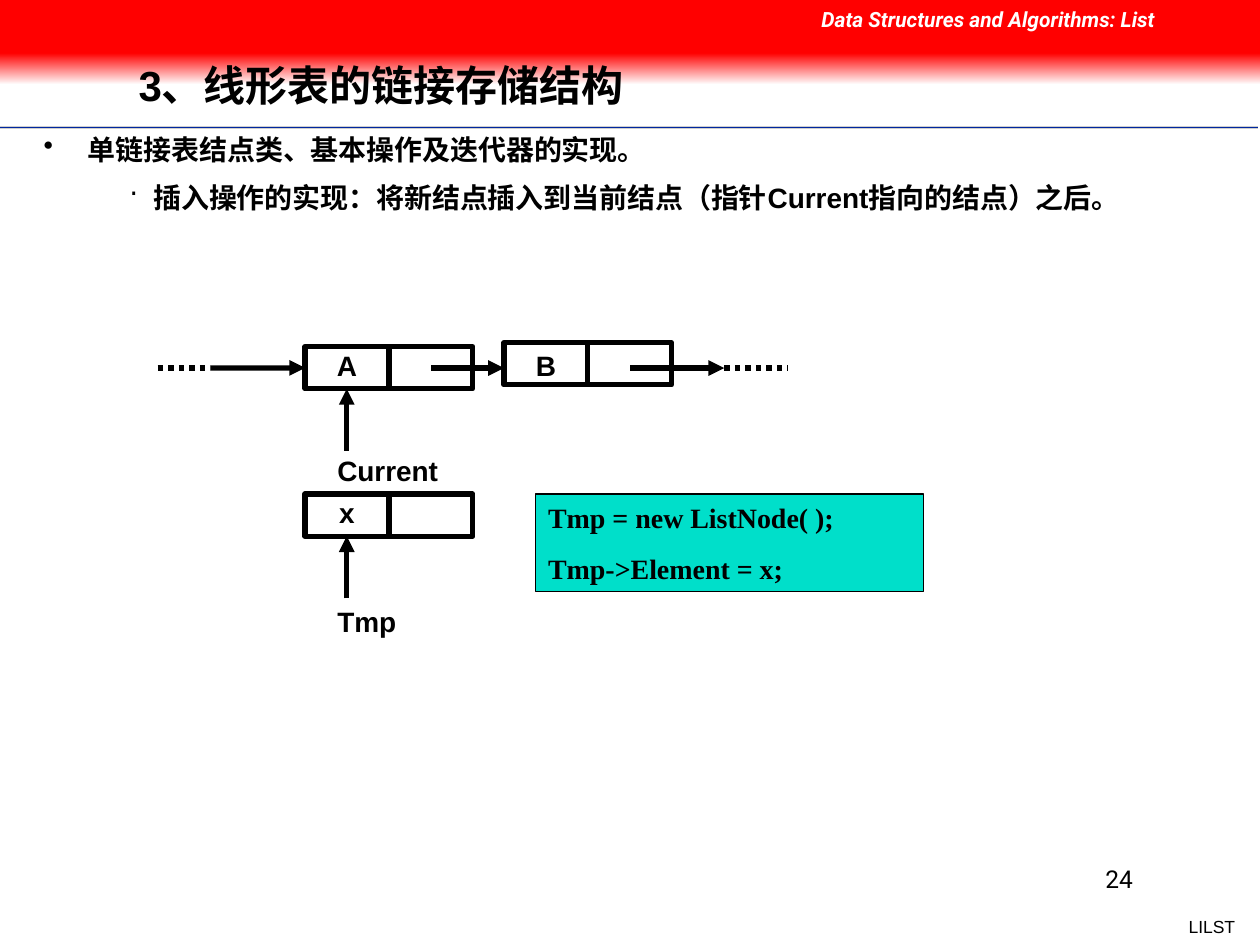
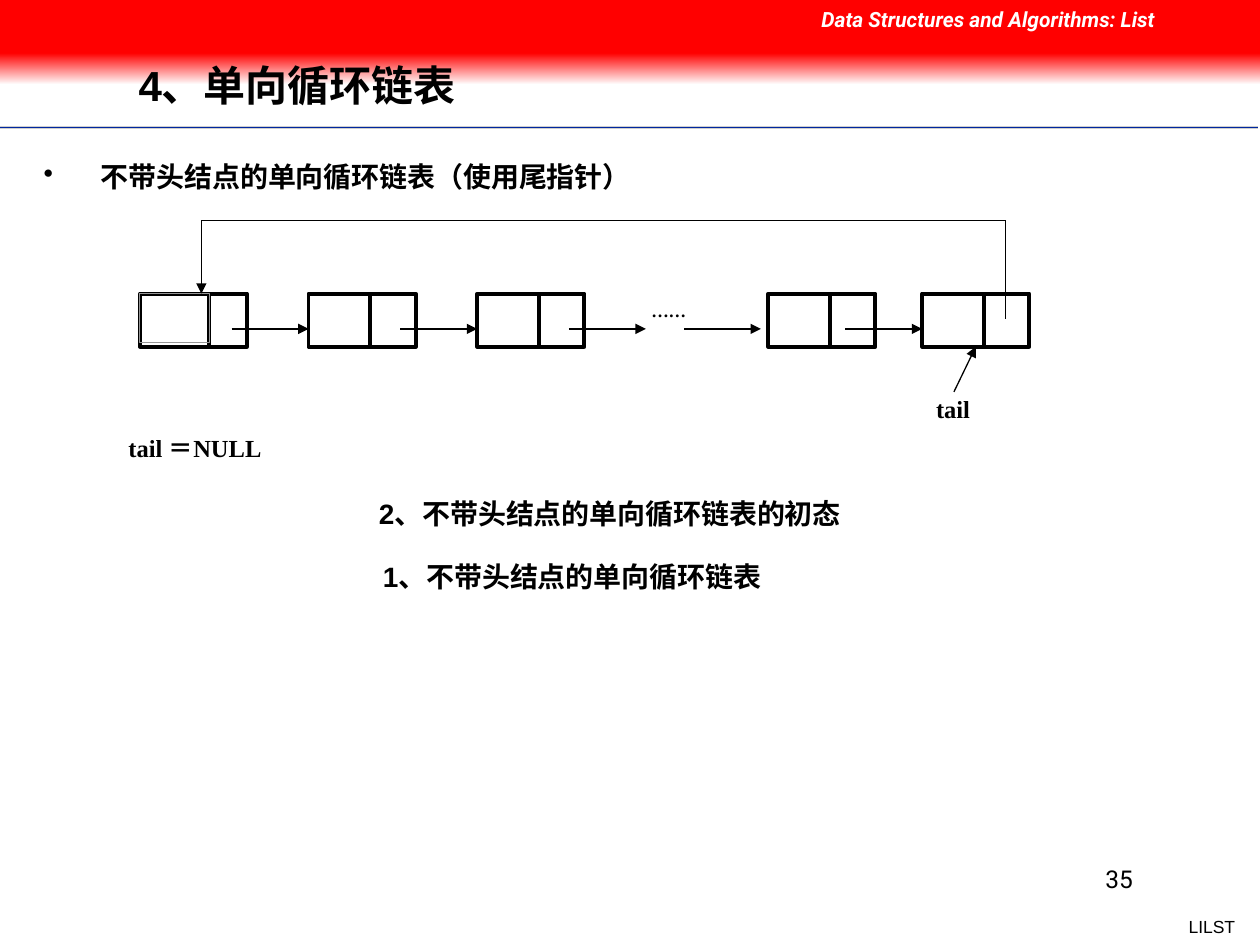
from lxml.etree import SubElement
from pptx import Presentation
from pptx.dml.color import RGBColor
from pptx.enum.dml import MSO_LINE_DASH_STYLE as DASH
from pptx.enum.shapes import MSO_CONNECTOR as CONN, MSO_SHAPE as SHAPE
from pptx.enum.text import MSO_ANCHOR as ANCHOR, MSO_AUTO_SIZE as AUTO, PP_ALIGN as ALIGN
from pptx.oxml.ns import qn
from pptx.util import Cm, Pt

COLORS = {
    "black": "000000", "white": "FFFFFF", "red": "FF0000", "blue": "00279F",
    "silver": "CECECE", "gray": "969696", "teal": "00DFCA",
}
SERIF = "Times New Roman"


def rgb(name):
    return RGBColor.from_string(COLORS[name])


def write(tf, text, size=16, font="Arial", color="black", bold=True, italic=False,
          align=ALIGN.LEFT, wrap=True, gap=0, bullet=None, margin=0, indent=0):
    """Fill a text frame, one paragraph per line of text."""
    tf.word_wrap = wrap
    for i, line in enumerate(text.split("\n")):
        p = tf.paragraphs[0] if i == 0 else tf.add_paragraph()
        if bullet:
            pPr = p._p.get_or_add_pPr()
            pPr.set("marL", str(Cm(margin)))
            pPr.set("indent", str(Cm(indent)))
            SubElement(pPr, qn("a:buChar")).set("char", bullet)
        p.alignment = align
        if i:
            p.space_before = Pt(gap)
        r = p.add_run()
        r.text = line
        r.font.size, r.font.name = Pt(size), font
        r.font.bold, r.font.italic = bold, italic
        r.font.color.rgb = rgb(color)


class Deck:
    """Holds the presentation, its style and the current slide; lengths are in cm."""

    def __init__(self):
        self.prs = Presentation()
        self.prs.slide_width, self.prs.slide_height = Cm(25.4), Cm(19.05)
        self.s = None

    def slide(self, title, number):
        self.s = self.prs.slides.add_slide(self.prs.slide_layouts[5])
        # Rule under the title
        for y, color, width in ((2.57, "silver", 2), (2.57, "blue", 1), (2.62, "white", 1)):
            self.line(0, y, 25.35, y, color=color, width=width)
        # Footer
        self.text(23.7, 18.34, 1.45, 0.69, "LILST", size=10, bold=False,
                  align=ALIGN.RIGHT, wrap=False)
        self.text(18.21, 17.3, 4.88, 1.27, str(number), size=14, font="Roboto",
                  bold=False, align=ALIGN.RIGHT)
        # Header band fading to white
        fade = self.rect(0, 1.07, 25.4, 0.64, line=None)
        fade.fill.gradient()
        fade.fill.gradient_angle = 270
        for stop, color in zip(fade.fill.gradient_stops, ("red", "white")):
            stop.color.rgb = rgb(color)
        for stop, position in zip(fade.fill.gradient_stops, (0, 1)):
            stop.position = position
        self.rect(0, 0, 25.4, 1.07, fill="red", line=None)
        self.text(16.31, 0, 9.09, 0.76, "Data Structures and Algorithms: List",
                  size=12, font="Roboto", color="white", italic=True)
        self.title(title)

    def title(self, text):
        sp = self.s.shapes.title
        sp.left, sp.top, sp.width, sp.height = Cm(2.54), Cm(0.84), Cm(19.18), Cm(1.88)
        tf = sp.text_frame
        tf.auto_size, tf.vertical_anchor = AUTO.NONE, ANCHOR.MIDDLE
        write(tf, text, size=24)
        tf.paragraphs[0].line_spacing = 0.9
        sp.element.getparent().append(sp.element)  # in front of the band

    def text(self, x, y, w, h, text, fill=None, **fmt):
        sp = self.s.shapes.add_textbox(Cm(x), Cm(y), Cm(w), Cm(h))
        if fill:
            sp.fill.solid()
            sp.fill.fore_color.rgb = rgb(fill)
        write(sp.text_frame, text, **fmt)
        return sp

    def rect(self, x, y, w, h, fill=None, line="black", width=0.75):
        sp = self.s.shapes.add_shape(SHAPE.RECTANGLE, Cm(x), Cm(y), Cm(w), Cm(h))
        sp.shadow.inherit = False
        if fill:
            sp.fill.solid()
            sp.fill.fore_color.rgb = rgb(fill)
        else:
            sp.fill.background()
        if line:
            sp.line.color.rgb, sp.line.width = rgb(line), Pt(width)
        else:
            sp.line.fill.background()
        return sp

    def line(self, x1, y1, x2, y2, color="black", width=0.75, arrow=False, dash=None):
        c = self.s.shapes.add_connector(CONN.STRAIGHT, Cm(x1), Cm(y1), Cm(x2), Cm(y2))
        c.line.color.rgb, c.line.width = rgb(color), Pt(width)
        if dash:
            c.line.dash_style = dash
        if arrow:
            SubElement(c.line._get_or_add_ln(), qn("a:tailEnd")).set("type", "triangle")
        SubElement(c._element.spPr, qn("a:effectLst"))
        return c

    def node(self, x, y, w, h, split, width):
        """A list node: data cell and pointer cell."""
        sp = self.rect(x, y, w, h, fill="white", width=width)
        self.line(x + split, y, x + split, y + h, width=width)
        return sp


def insert_slide(d):
    d.slide("3、线形表的链接存储结构", 24)
    d.text(0, 2.54, 24.33, 0.94, "单链接表结点类、基本操作及迭代器的实现。",
           bullet="•", margin=1.52, indent=-0.89)
    d.text(0, 3.51, 24.33, 0.94,
           "插入操作的实现：将新结点插入到当前结点（指针Current指向的结点）之后。",
           bullet="·", margin=2.84, indent=-0.48)

    # Nodes and their data
    w, h, half, thick = 3.38, 0.85, 1.69, 3
    nodes = {}
    for label, x, y, label_y in (("A", 6.15, 6.99, 6.91), ("B", 10.16, 6.91, 6.91),
                                 ("x", 6.15, 9.96, 9.86)):
        nodes[label] = d.node(x, y, w, h, half, thick)
        d.text(x, label_y, half, 0.94, label, align=ALIGN.CENTER)

    # Chain of links
    y = 7.42
    into_a = d.line(4.24, y, 6.15, y, width=thick, arrow=True)
    into_a.end_connect(nodes["A"], 1)
    for x1, x2 in ((8.69, 10.16), (12.7, 14.6)):
        d.line(x1, y, x2, y, width=thick, arrow=True)
    for x1, x2 in ((3.18, 4.24), (14.6, 15.88)):
        d.line(x1, y, x2, y, width=thick, dash=DASH.ROUND_DOT)

    # Pointers from below
    for name, label_y, start, end in (("Current", 9.02, 9.09, 7.84),
                                      ("Tmp", 12.06, 12.06, 10.81)):
        d.line(6.99, start, 6.99, end, width=thick, arrow=True)
        d.text(6.55, label_y, 3.61, 0.94, name)

    # Code
    code = d.rect(10.8, 9.96, 7.82, 1.96, fill="teal")
    code.text_frame.vertical_anchor = ANCHOR.TOP
    write(code.text_frame, "Tmp = new ListNode( );\nTmp->Element = x;", font=SERIF, gap=10)


def circular_slide(d):
    d.slide("4、单向循环链表", 35)
    d.text(0, 3.1, 15.67, 0.94, "不带头结点的单向循环链表（使用尾指针）",
           bullet="•", margin=1.78, indent=-1.15)
    d.text(18.62, 7.82, 1.85, 1.5, "tail", fill="white", size=14, font=SERIF)
    d.text(12.88, 5.92, 1.24, 1.07, "……", fill="white", size=10, font=SERIF)

    # Nodes
    first, step, top, thick = 2.82, 3.4, 5.92, 2.25
    for i, x in enumerate([first + step * k for k in range(3)] + [15.49, 18.59]):
        last = d.node(x, top, 2.16, 1.07, 1.24 if i else 1.4, thick)
    d.rect(first, top, 1.4, 0.99, line="gray")

    # Links to the next node
    for x in [first + 1.85 + step * k for k in range(3)] + [13.79, 17.04]:
        d.line(x, 6.63, x + 1.55, 6.63, arrow=True)

    # Link from the last node back to the first
    left, right, loop_y = 4.06, 20.27, 4.45
    d.line(right, 6.43, right, loop_y)
    d.line(right, loop_y, left, loop_y)
    d.line(left, loop_y, left, top, arrow=True)

    # Tail pointer
    d.line(19.23, 7.9, 19.67, 6.99, arrow=True).end_connect(last, 2)

    # Empty list and captions
    d.text(2.34, 8.61, 3.81, 0.91, "tail ＝NULL", fill="white", size=14, font=SERIF)
    d.text(7.39, 9.88, 14.6, 0.94, "2、不带头结点的单向循环链表的初态")
    d.text(7.47, 11.15, 14.6, 0.94, "1、不带头结点的单向循环链表")


def main():
    d = Deck()
    insert_slide(d)
    circular_slide(d)
    d.prs.save("out.pptx")


if __name__ == "__main__":
    main()
